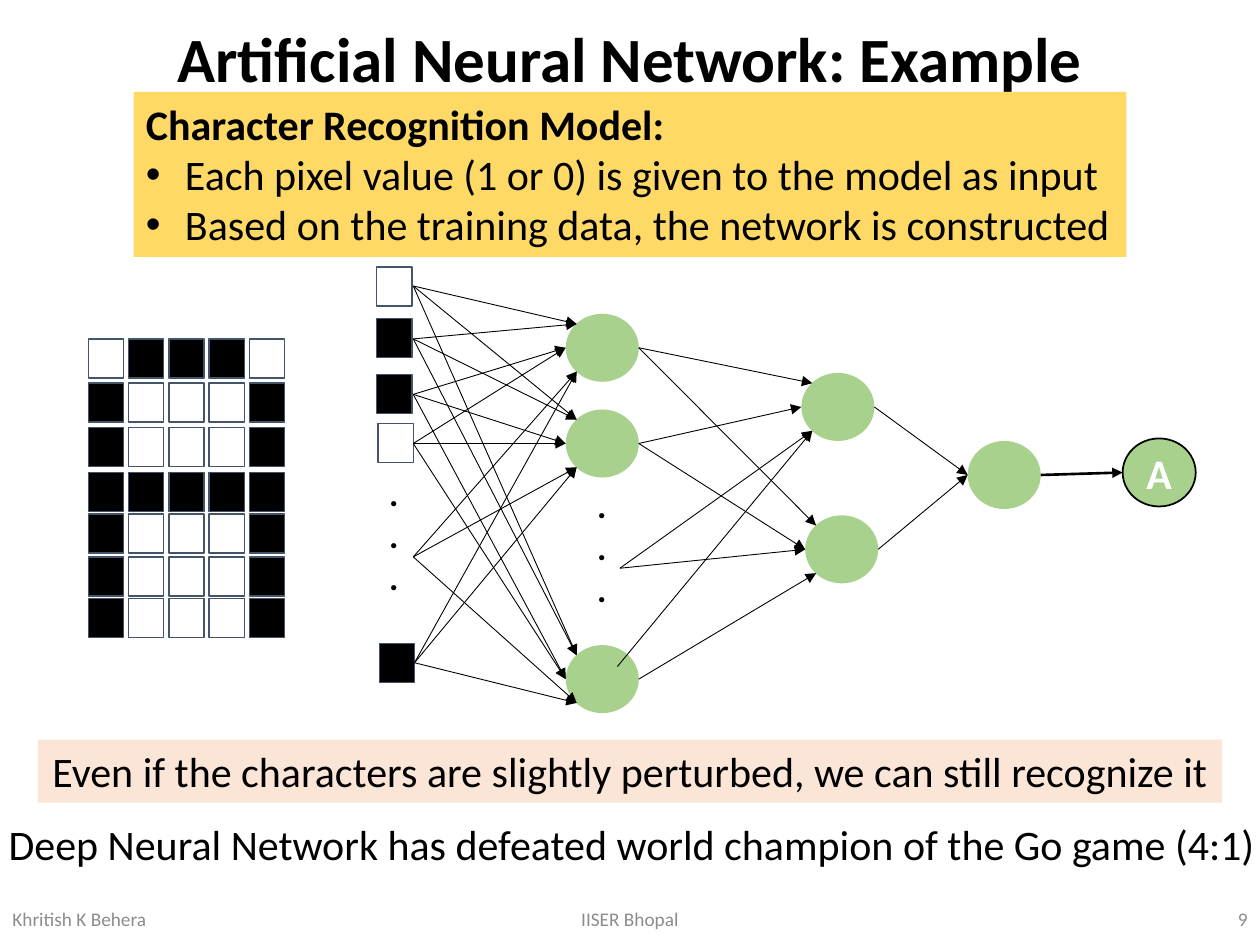
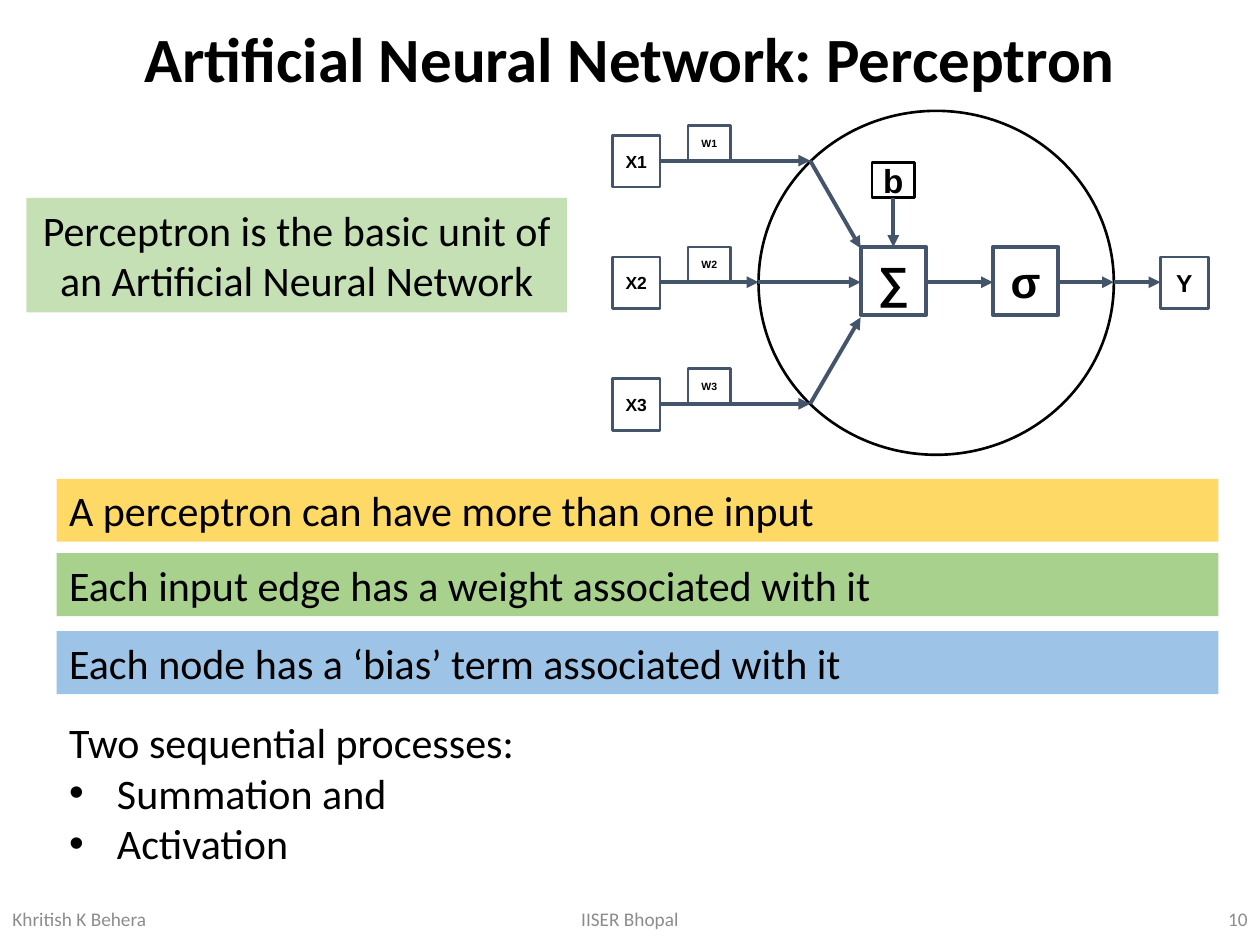
from pptx import Presentation
from pptx.dml.color import RGBColor
from pptx.enum.shapes import MSO_CONNECTOR, MSO_SHAPE
from pptx.enum.text import MSO_ANCHOR, PP_ALIGN
from pptx.oxml.ns import qn
from pptx.util import Inches, Pt
from lxml.etree import SubElement

BLACK, WHITE, SLATE, GREY = "000000", "FFFFFF", "44546A", "8C8C8C"
GOLD, GREEN, PALE, BLUE, PEACH = "FFD966", "A9D18E", "C5E0B4", "9DC3E6", "FBE5D6"
RECT, OVAL = MSO_SHAPE.RECTANGLE, MSO_SHAPE.OVAL
ALIGN = {"l": PP_ALIGN.LEFT, "c": PP_ALIGN.CENTER,
         "r": PP_ALIGN.RIGHT, "j": PP_ALIGN.JUSTIFY}

# Slide 1: the letter, its pixels as inputs, and the network
PIXEL = (0.28, 0.31)
LETTER = [(2.69, "01110"), (3.04, "10001"), (3.39, "10001"), (3.75, "11111"),
          (4.08, "10001"), (4.42, "10001"), (4.75, "10001")]
INPUTS = [(2.99, 2.12, "0"), (2.99, 2.53, "1"), (2.99, 2.97, "1"),
          (3, 3.36, "0"), (3.01, 5.11, "1")]
DOTS = [(2.99, 3.69), (4.64, 3.79)]
NODE = (0.58, 0.54)
NODES = {"H1": (4.49, 2.49), "H2": (4.49, 3.25), "H3": (4.49, 5.12),
         "M1": (6.36, 2.96), "M2": (6.39, 4.09),
         "out": (7.68, 3.5), "A": (8.91, 3.48)}
PORTS = {"nw": (0.15, 0.15), "w": (0, 0.5), "sw": (0.15, 0.85), "e": (1, 0.5)}
# Each start point, the side it enters by, and the nodes it feeds
FANS = [((3.28, 2.27), "nw", "H1 H2 H3"), ((3.28, 2.69), "nw", "H1 H2 H3"),
        ((3.28, 3.13), "w", "H1 H2 H3"), ((3.28, 3.52), "w", "H1 H2 H3"),
        ((3.28, 4.42), "sw", "H1 H2 H3"), ((3.29, 5.26), "sw", "H1 H2 H3"),
        ("H1", "nw", "M1 M2"), ("H2", "w", "M1 M2"), ("H3", "sw", "M2"),
        ((4.92, 4.51), "sw", "M1"), ((4.92, 4.51), "w", "M2"),
        ((4.9, 5.29), "sw", "M1"), ("M1", "w", "out"), ("M2", "w", "out")]
MODEL = ["Character Recognition Model:",
         "• Each pixel value (1 or 0) is given to the model as input",
         "• Based on the training data, the network is constructed"]
CLAIM = "Even if the characters are slightly perturbed, we can still recognize it"
GAME = "Deep Neural Network has defeated world champion of the Go game (4:1)"

# Slide 2: the perceptron
MID = 2.24
STEP = 0.965
ENTRY = [6.43, 6.02, 6.43]
AIM = [1.97, MID, 2.52]
CELLS = [("∑", (6.83, 1.96, 0.52, 0.54), SLATE, 2.25, 25),
         ("σ", (7.88, 1.96, 0.52, 0.54), SLATE, 2.25, 25),
         ("b", (6.92, 1.29, 0.34, 0.28), BLACK, 1.5, 19),
         ("Y", (9.21, 2.04, 0.38, 0.41), SLATE, 1.5, 14)]
FLOW = [((7.35, MID), (7.88, MID)), ((7.09, 1.57), (7.09, 1.96)),
        ((8.39, MID), (8.84, MID)), ((8.84, MID), (9.21, MID))]
FACTS = [(3.8, GOLD, "A perceptron can have more than one input"),
         (4.39, GREEN, "Each input edge has a weight associated with it"),
         (5.01, BLUE, "Each node has a ‘bias’ term associated with it")]
UNIT = "Perceptron is the basic unit of an Artificial Neural Network"
STAGES = ["Two sequential processes:", "• Summation and", "• Activation"]


def rgb(code):
    return RGBColor.from_string(code)


def write(shape, text, size=24, font="Calibri", color=BLACK, bold=False,
          head=False, align="l", mid=False, pad=None, wrap=True,
          indent=0.31, lead=None):
    """Fill a shape with paragraphs; head makes only the first one bold."""
    frame = shape.text_frame
    frame.word_wrap = wrap
    frame.vertical_anchor = MSO_ANCHOR.MIDDLE if mid else MSO_ANCHOR.TOP
    if pad is not None:
        frame.margin_left = frame.margin_right = Inches(pad)
        frame.margin_top = frame.margin_bottom = Inches(pad)
    lines = [text] if isinstance(text, str) else text
    for i, line in enumerate(lines):
        para = frame.add_paragraph() if i else frame.paragraphs[0]
        para.alignment = ALIGN[align]
        if lead:
            para.line_spacing = lead
        if line.startswith("• "):
            line = line[2:]
            props = para._p.get_or_add_pPr()
            props.set("marL", str(Inches(indent)))
            props.set("indent", str(-Inches(indent)))
            SubElement(props, qn("a:buFont")).set("typeface", "Arial")
            SubElement(props, qn("a:buChar")).set("char", "•")
        run = para.add_run()
        run.text = line
        run.font.size, run.font.name = Pt(size), font
        run.font.bold = bold or (head and i == 0)
        run.font.color.rgb = rgb(color)


def label(slide, at, text, **fmt):
    write(slide.shapes.add_textbox(*map(Inches, at)), text, **fmt)


def draw(slide, kind, at, fill=None, line=None, width=0.75):
    shape = slide.shapes.add_shape(kind, *map(Inches, at))
    shape.shadow.inherit = False
    if fill:
        shape.fill.solid()
        shape.fill.fore_color.rgb = rgb(fill)
    else:
        shape.fill.background()
    if line:
        shape.line.color.rgb = rgb(line)
        shape.line.width = Pt(width)
    else:
        shape.line.fill.background()
    return shape


def band(slide, at, fill, text, **fmt):
    write(draw(slide, RECT, at, fill), text, **fmt)


def chip(slide, at, text, size, line=SLATE, width=1.5):
    """Outlined square with a short bold symbol."""
    write(draw(slide, RECT, at, None, line, width), text, size=size,
          font="Arial", bold=True, align="c", mid=True, pad=0.1, wrap=False)


def arrow(slide, start, end, color=BLACK, width=0.5):
    link = slide.shapes.add_connector(
        MSO_CONNECTOR.STRAIGHT, *map(Inches, (*start, *end)))
    link.line.color.rgb = rgb(color)
    link.line.width = Pt(width)
    props = link.element.spPr
    SubElement(props.find(qn("a:ln")), qn("a:tailEnd")).set("type", "triangle")
    SubElement(props, qn("a:effectLst"))


def port(name, side):
    """Point where an arrow meets a node."""
    return [a + s * f for a, s, f in zip(NODES[name], NODE, PORTS[side])]


def pixel(slide, left, top, bit):
    draw(slide, RECT, (left, top, *PIXEL), BLACK if bit == "1" else WHITE, SLATE)


def start(deck, title, number):
    """Add a slide with the shared title and footer."""
    slide = deck.slides.add_slide(deck.slide_layouts[6])
    label(slide, (0, 0.01, 10, 0.96), title, size=36, bold=True,
          align="c", mid=True, lead=0.9)
    for left, wide, text, align in [(0, 2.25, "Khritish K Behera", "l"),
                                    (3.31, 3.38, "IISER Bhopal", "c"),
                                    (7.75, 2.25, str(number), "r")]:
        label(slide, (left, 7.09, wide, 0.4), text, size=11, color=GREY,
              align=align, mid=True)
    return slide


def example(deck):
    slide = start(deck, "Artificial Neural Network: Example", 9)
    for top, bits in LETTER:
        for col, bit in enumerate(bits):
            pixel(slide, 0.7 + 0.32 * col, top, bit)
    for item in INPUTS:
        pixel(slide, *item)
    for spot in DOTS:
        label(slide, (*spot, 0.28, 1.45), ["."] * 3, size=20, bold=True)
    for name, spot in NODES.items():
        last = name == "A"
        node = draw(slide, OVAL, (*spot, *NODE), GREEN, BLACK if last else None, 1)
        if last:
            write(node, name, color=WHITE, bold=True, align="c", mid=True)
    for source, side, names in FANS:
        begin = port(source, "e") if source in NODES else source
        for name in names.split():
            arrow(slide, begin, port(name, side))
    arrow(slide, port("out", "e"), port("A", "w"), width=1.5)
    band(slide, (1.06, 0.73, 7.88, 1.31), GOLD, MODEL, head=True, align="j")
    band(slide, (0.3, 5.87, 9.4, 0.5), PEACH, CLAIM, align="c")
    label(slide, (-0.03, 6.45, 10.19, 0.5), GAME)


def neuron(deck):
    slide = start(deck, "Artificial Neural Network: Perceptron", 10)
    draw(slide, OVAL, (6.02, 0.88, 2.82, 2.73), WHITE, BLACK, 1.5)
    for i, (edge, aim) in enumerate(zip(ENTRY, AIM)):
        y = MID + (i - 1) * STEP
        chip(slide, (4.86, y - 0.2, 0.38, 0.41), f"X{i + 1}", 10)
        arrow(slide, (5.24, y), (edge, y), SLATE, 2.25)
        chip(slide, (5.46, y - 0.28, 0.34, 0.28), f"W{i + 1}", 6)
        arrow(slide, (edge, y), (6.83, aim), SLATE, 2.25)
    for text, at, line, width, size in CELLS:
        chip(slide, at, text, size, line, width)
    for begin, end in FLOW:
        arrow(slide, begin, end, SLATE, 2.25)
    for top, fill, text in FACTS:
        band(slide, (0.45, top, 9.22, 0.5), fill, text)
    label(slide, (0.45, 5.64, 5.12, 1.31), STAGES, indent=0.38)
    band(slide, (0.21, 1.57, 4.29, 0.91), PALE, UNIT, align="c")


def main():
    deck = Presentation()
    deck.slide_width, deck.slide_height = Inches(10), Inches(7.5)
    example(deck)
    neuron(deck)
    deck.save("out.pptx")


if __name__ == "__main__":
    main()
